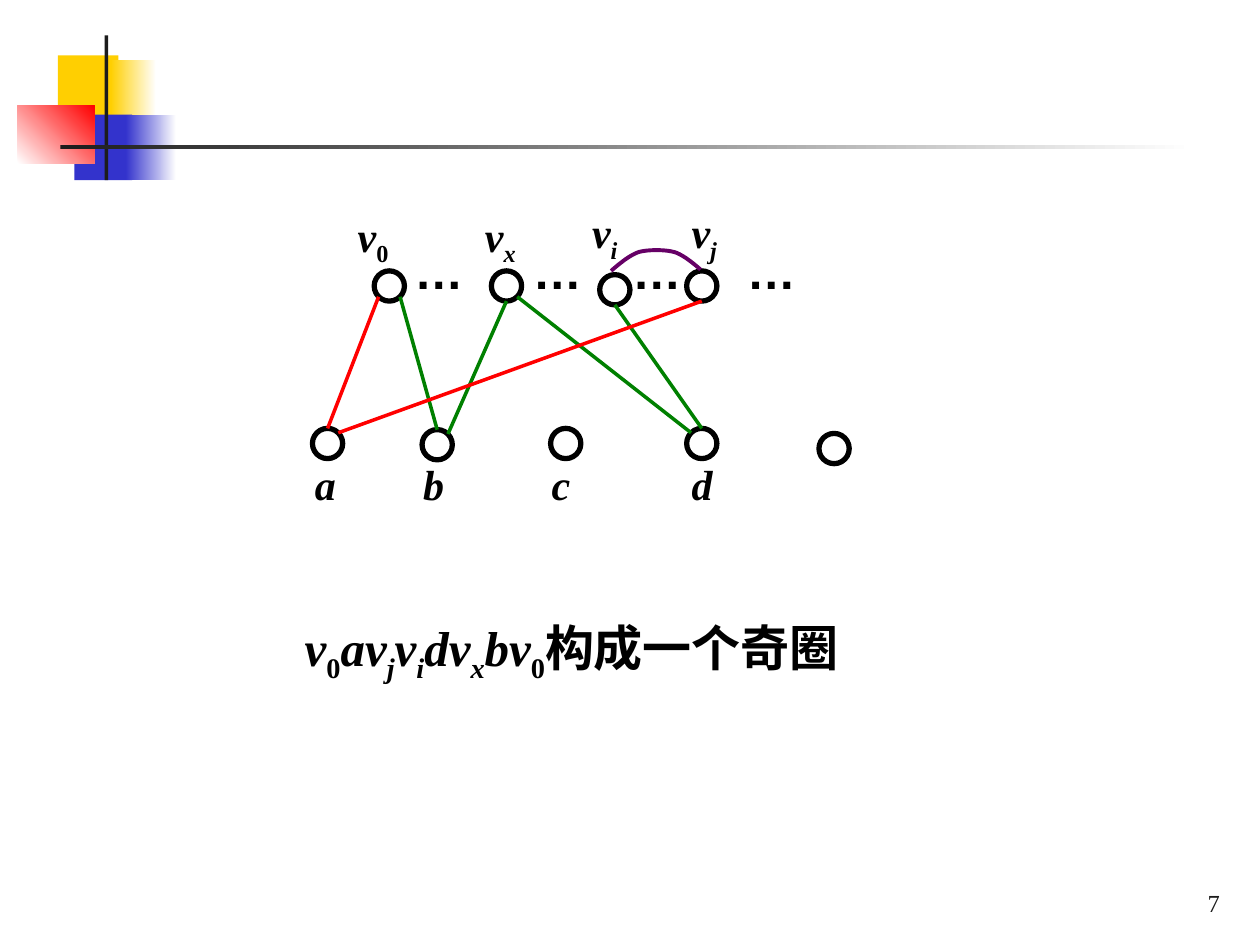
from dataclasses import dataclass

import pptx
import pptx.dml.color
import pptx.enum.shapes
import pptx.enum.text
import pptx.oxml.ns
import pptx.util
from lxml import etree
from pptx.util import Inches

COLORS = {
    "yellow": "FFCF01", "blue": "3333CC", "red": "FF0000", "white": "FFFFFF",
    "dark": "1C1C1C", "black": "000000", "green": "008000", "purple": "660066",
}
SERIF, SANS = "Times New Roman", "Arial"
DIAMETER = 0.24
RADIUS = DIAMETER / 2
DIAGONAL = RADIUS * 0.71
SITES = {
    "top": (0, -RADIUS), "bottom": (0, RADIUS),
    "top left": (-DIAGONAL, -DIAGONAL), "top right": (DIAGONAL, -DIAGONAL),
    "bottom left": (-DIAGONAL, DIAGONAL), "bottom right": (DIAGONAL, DIAGONAL),
}


@dataclass
class Block:
    left: float
    top: float
    width: float
    height: float
    start: str
    end: str = ""
    angle: float = 0


@dataclass
class Edge:
    start: str
    start_site: str
    end: str
    end_site: str
    color: str


@dataclass
class Piece:
    text: str
    italic: bool = True
    subscript: bool = False


@dataclass
class Label:
    left: float
    top: float
    width: float
    height: float
    pieces: list[Piece]
    size: int = 24
    font: str = SERIF


BLOCKS = [
    Block(0.46, 0.44, 0.48, 0.52, "yellow"),
    Block(0.88, 0.48, 0.36, 0.52, "yellow", "white"),
    Block(0.59, 0.91, 0.46, 0.52, "blue"),
    Block(1, 0.91, 0.4, 0.52, "blue", "white"),
    Block(0.14, 0.84, 0.61, 0.46, "white", "red", 45),
    Block(0.83, 0.28, 0.03, 1.15, "dark"),
    Block(0.48, 1.15, 9, 0.03, "dark", "white"),
]
# Top-left corner of each vertex circle
VERTICES = {
    "v0": (2.97, 2.15), "vx": (3.9, 2.15), "vi": (4.76, 2.18), "vj": (5.45, 2.15),
    "a": (2.48, 3.4), "b": (3.35, 3.41), "c": (4.37, 3.4), "d": (5.45, 3.4),
    "unnamed": (6.5, 3.44),
}
EDGES = [
    Edge("v0", "bottom right", "b", "top", "green"),
    Edge("b", "top right", "vx", "bottom", "green"),
    Edge("vx", "bottom right", "d", "top left", "green"),
    Edge("d", "top", "vi", "bottom", "green"),
    Edge("v0", "bottom left", "a", "top", "red"),
    Edge("a", "top right", "vj", "bottom", "red"),
]
ARC = [
    [(4.85, 2.15), (4.92, 2.09), (4.99, 2.03), (5.07, 2)],
    [(5.07, 2), (5.15, 1.98), (5.27, 1.98), (5.35, 2)],
    [(5.35, 2), (5.43, 2.02), (5.56, 2.14), (5.56, 2.14)],
]
ZERO, SUB_I, SUB_J, SUB_X = (
    Piece("0", italic=False, subscript=True),
    *(Piece(index, subscript=True) for index in "ijx"),
)
V = Piece("v")
LABELS = [
    Label(2.74, 1.62, 0.46, 0.5, [V, ZERO]),
    Label(3.75, 1.62, 0.5, 0.5, [V, SUB_X]),
    Label(4.6, 1.59, 0.48, 0.5, [V, SUB_I]),
    Label(5.39, 1.59, 0.5, 0.5, [V, SUB_J]),
    *(Label(left, 3.59, 0.48, 0.51, [Piece(name)])
      for name, left in zip("abcd", (2.4, 3.26, 4.28, 5.39))),
    *(Label(left, 1.86, 0.59, 0.57, [Piece("…", italic=False)], 28, SANS)
      for left in (3.19, 4.13, 4.92, 5.83)),
    Label(2.32, 4.85, 4.61, 0.57, [
        V, ZERO, Piece("av"), SUB_J, V, SUB_I, Piece("dv"), SUB_X,
        Piece("bv"), ZERO, Piece("构成一个奇圈", italic=False),
    ], 28),
]


def rgb(name: str) -> pptx.dml.color.RGBColor:
    return pptx.dml.color.RGBColor.from_string(COLORS[name])


def set_line(shape, color: str, width: float) -> None:
    shape.line.color.rgb = rgb(color)
    shape.line.width = pptx.util.Pt(width)


def draw_block(shapes, block: Block) -> None:
    bar = shapes.add_shape(
        pptx.enum.shapes.MSO_SHAPE.RECTANGLE, Inches(block.left), Inches(block.top),
        Inches(block.width), Inches(block.height))
    bar.shadow.inherit = False
    bar.line.fill.background()
    if block.end:
        bar.fill.gradient()
        bar.fill.gradient_angle = block.angle
        for stop, color in zip(bar.fill.gradient_stops, (block.start, block.end)):
            stop.color.rgb = rgb(color)
    else:
        bar.fill.solid()
        bar.fill.fore_color.rgb = rgb(block.start)


def draw_vertex(shapes, left: float, top: float) -> None:
    circle = shapes.add_shape(
        pptx.enum.shapes.MSO_SHAPE.OVAL, Inches(left), Inches(top),
        Inches(DIAMETER), Inches(DIAMETER))
    circle.shadow.inherit = False
    circle.fill.background()
    set_line(circle, "black", 3)


def site_point(vertex: str, site: str) -> tuple[int, int]:
    (left, top), (dx, dy) = VERTICES[vertex], SITES[site]
    return Inches(left + RADIUS + dx), Inches(top + RADIUS + dy)


def draw_edge(shapes, edge: Edge) -> None:
    connector = shapes.add_connector(
        pptx.enum.shapes.MSO_CONNECTOR.STRAIGHT,
        *site_point(edge.start, edge.start_site), *site_point(edge.end, edge.end_site))
    set_line(connector, edge.color, 2)
    etree.SubElement(connector._element.spPr, pptx.oxml.ns.qn("a:effectLst"))


def bezier_point(controls: list[tuple[float, float]], t: float) -> tuple[int, int]:
    weights = ((1 - t) ** 3, 3 * t * (1 - t) ** 2, 3 * t ** 2 * (1 - t), t ** 3)
    x, y = (sum(w * c for w, c in zip(weights, axis)) for axis in zip(*controls))
    return Inches(x), Inches(y)


def draw_arc(shapes, steps: int = 12) -> None:
    """Draw the edge between vi and vj as a finely stepped Bézier curve."""
    builder = shapes.build_freeform(*bezier_point(ARC[0], 0))
    builder.add_line_segments(
        [bezier_point(controls, step / steps)
         for controls in ARC for step in range(1, steps + 1)], close=False)
    arc = builder.convert_to_shape()
    arc.shadow.inherit = False
    arc.fill.background()
    set_line(arc, "purple", 2.25)


def draw_label(shapes, label: Label) -> None:
    box = shapes.add_textbox(
        Inches(label.left), Inches(label.top), Inches(label.width), Inches(label.height))
    box.text_frame.word_wrap = False
    box.text_frame.auto_size = pptx.enum.text.MSO_AUTO_SIZE.SHAPE_TO_FIT_TEXT
    for piece in label.pieces:
        run = box.text_frame.paragraphs[0].add_run()
        run.text = piece.text
        run.font.name = label.font
        run.font.size = pptx.util.Pt(label.size)
        run.font.bold = True
        run.font.italic = piece.italic
        run.font.color.rgb = rgb("black")
        if piece.subscript:
            run._r.get_or_add_rPr().set("baseline", "-25000")


def draw_page_number(shapes) -> None:
    box = shapes.add_textbox(Inches(7.7), Inches(6.83), Inches(2.08), Inches(0.5))
    box.text_frame.word_wrap = True
    box.text_frame.vertical_anchor = pptx.enum.text.MSO_ANCHOR.BOTTOM
    paragraph = box.text_frame.paragraphs[0]
    paragraph.alignment = pptx.enum.text.PP_ALIGN.RIGHT
    number = paragraph.add_run()
    number.text = "7"
    number.font.name = SERIF
    number.font.size = pptx.util.Pt(14)
    number.font.color.rgb = rgb("dark")


def main() -> None:
    deck = pptx.Presentation()
    deck.slide_width, deck.slide_height = Inches(10), Inches(7.5)
    shapes = deck.slides.add_slide(deck.slide_layouts[6]).shapes
    for block in BLOCKS:
        draw_block(shapes, block)
    for left, top in VERTICES.values():
        draw_vertex(shapes, left, top)
    for edge in EDGES:
        draw_edge(shapes, edge)
    draw_arc(shapes)
    for label in LABELS:
        draw_label(shapes, label)
    draw_page_number(shapes)
    deck.save("out.pptx")


if __name__ == "__main__":
    main()
